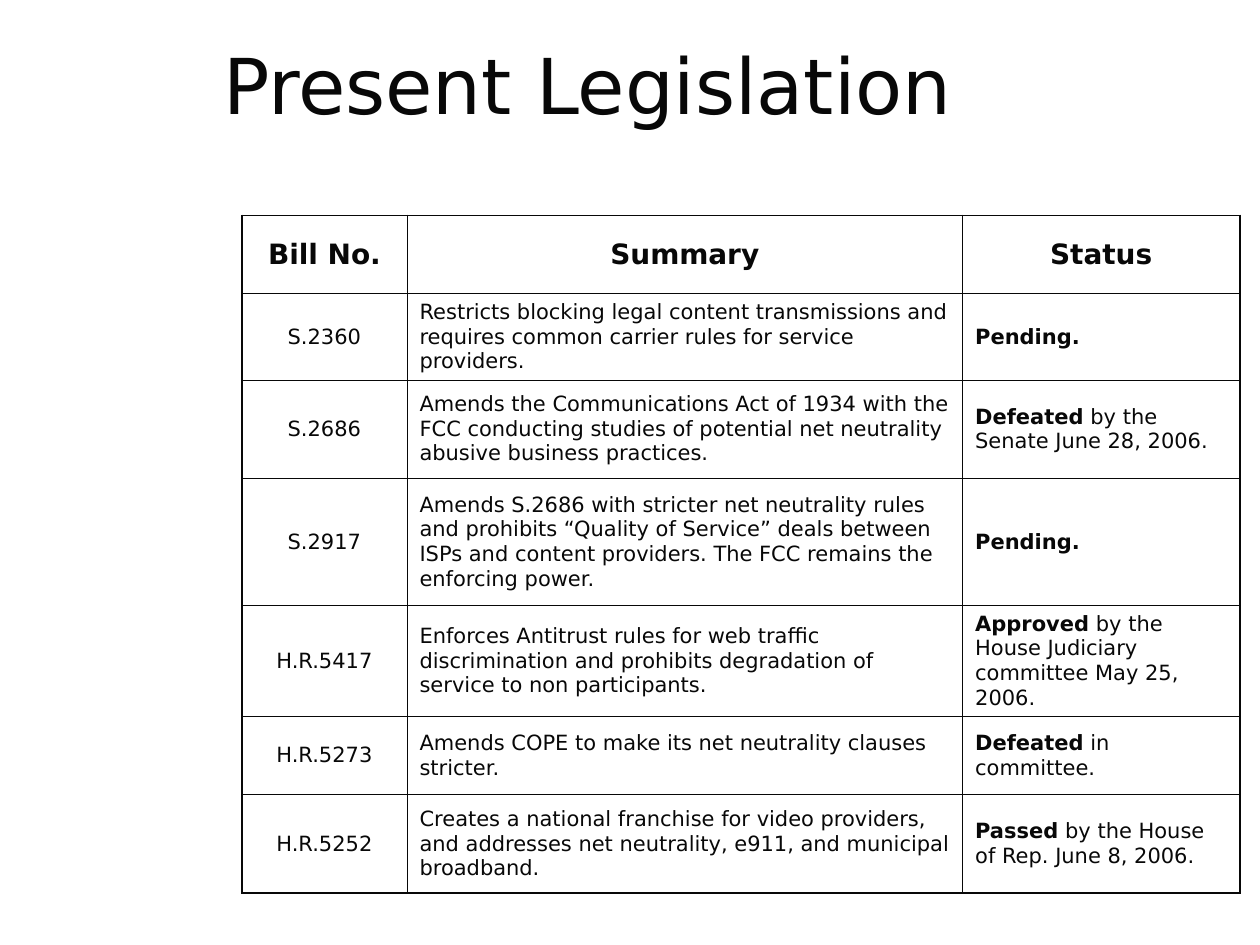
from lxml import etree
from pptx import Presentation
from pptx.dml.color import RGBColor
from pptx.enum import text
from pptx.oxml import ns
from pptx.util import Inches, Pt

COLORS = {"ink": "080808"}
FONT = "DejaVu Sans"
THIN, THICK = 0.45, 1.08

COLUMN_WIDTHS = [1.31, 4.41, 2.2]
ROW_HEIGHTS = [0.62, 0.68, 0.78, 1.01, 0.84, 0.62, 0.78]
HEADINGS = ["Bill No.", "Summary", "Status"]
# Bill number, summary, bold outcome, rest of the status
BILLS = [
    ("S.2360", "Restricts blocking legal content transmissions and requires "
     "common carrier rules for service providers.", "Pending.", ""),
    ("S.2686", "Amends the Communications Act of 1934 with the FCC conducting "
     "studies of potential net neutrality abusive business practices.",
     "Defeated", " by the Senate June 28, 2006."),
    ("S.2917", "Amends S.2686 with stricter net neutrality rules and prohibits "
     "“Quality of Service” deals between ISPs and content providers. "
     "The FCC remains the enforcing power.", "Pending.", ""),
    ("H.R.5417", "Enforces Antitrust rules for web traffic discrimination and "
     "prohibits degradation of service to non participants.",
     "Approved", " by the House Judiciary committee May 25, 2006."),
    ("H.R.5273", "Amends COPE to make its net neutrality clauses stricter.",
     "Defeated", " in committee."),
    ("H.R.5252", "Creates a national franchise for video providers, and "
     "addresses net neutrality, e911, and municipal broadband.",
     "Passed", " by the House of Rep. June 8, 2006."),
]


class SlideBuilder:
    def __init__(self, slide):
        self.slide = slide

    def style(self, paragraph, size, centered=False):
        paragraph.alignment = (text.PP_ALIGN.CENTER if centered
                               else text.PP_ALIGN.LEFT)
        paragraph.font.name = FONT
        paragraph.font.size = Pt(size)
        paragraph.font.color.rgb = RGBColor.from_string(COLORS["ink"])

    def title(self, words, left, top, width, height):
        shape = self.slide.shapes.title
        shape.left, shape.top = Inches(left), Inches(top)
        shape.width, shape.height = Inches(width), Inches(height)
        frame = shape.text_frame
        frame.text = words
        frame.auto_size = text.MSO_AUTO_SIZE.NONE
        frame.vertical_anchor = text.MSO_ANCHOR.MIDDLE
        self.style(frame.paragraphs[0], 44)

    def borders(self, cell, widths):
        properties = cell._tc.get_or_add_tcPr()
        for side, width in zip("LRTB", widths):
            line = etree.SubElement(properties, ns.qn(f"a:ln{side}"),
                                    w=str(Pt(width)))
            fill = etree.SubElement(line, ns.qn("a:solidFill"))
            etree.SubElement(fill, ns.qn("a:srgbClr"), val=COLORS["ink"])

    def cell(self, cell, runs, size, centered):
        """Fill a cell with (words, bold) runs."""
        cell.vertical_anchor = text.MSO_ANCHOR.MIDDLE
        cell.fill.background()
        paragraph = cell.text_frame.paragraphs[0]
        self.style(paragraph, size, centered)
        for words, bold in runs:
            run = paragraph.add_run()
            run.text = words
            run.font.bold = bold

    def table(self, rows, left, top, widths, heights):
        table = self.slide.shapes.add_table(
            len(heights), len(widths), Inches(left), Inches(top),
            Inches(sum(widths)), Inches(sum(heights))).table
        table.first_row = table.horz_banding = False
        for column, width in zip(table.columns, widths):
            column.width = Inches(width)
        for row, height in zip(table.rows, heights):
            row.height = Inches(height)
        last_row, last_column = len(heights) - 1, len(widths) - 1
        for r, row in enumerate(rows):
            for c, runs in enumerate(row):
                cell = table.cell(r, c)
                # Thick lines only on the outer frame
                outer = (c == 0, c == last_column, r == 0, r == last_row)
                self.borders(cell, [THICK if edge else THIN for edge in outer])
                self.cell(cell, runs, 16 if r == 0 else 12, r == 0 or c == 0)


def main():
    presentation = Presentation()
    presentation.slide_width = Inches(10)
    presentation.slide_height = Inches(7.5)
    layout = presentation.slide_layouts.get_by_name("Title Only")
    builder = SlideBuilder(presentation.slides.add_slide(layout))

    # Title
    builder.title("Present Legislation", 1.67, 0.08, 8.07, 1.17)

    # Table of bills
    rows = [[[(heading, True)] for heading in HEADINGS]]
    for number, summary, outcome, rest in BILLS:
        status = [(outcome, True)] + ([(rest, False)] if rest else [])
        rows.append([[(number, False)], [(summary, False)], status])
    builder.table(rows, 1.92, 1.71, COLUMN_WIDTHS, ROW_HEIGHTS)

    presentation.save("out.pptx")


if __name__ == "__main__":
    main()
